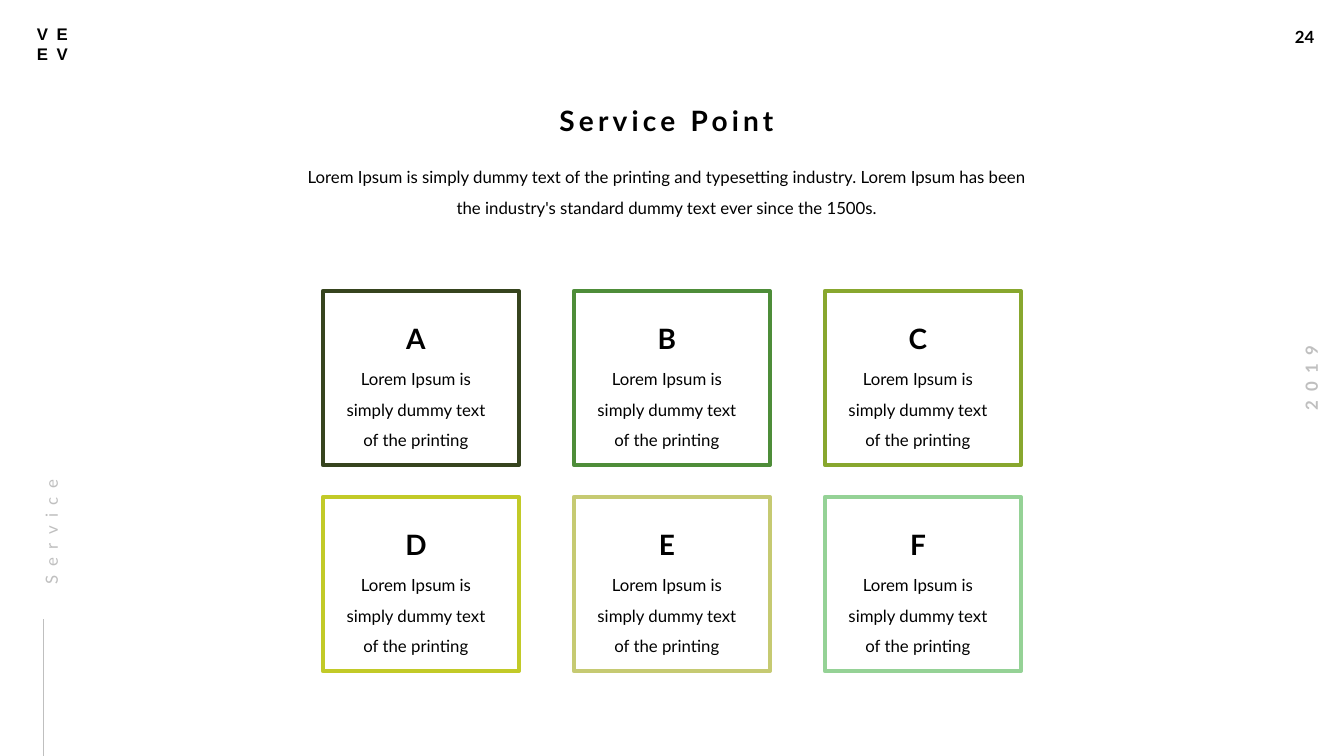
from pptx import Presentation
from pptx.dml.color import RGBColor
from pptx.enum.shapes import MSO_CONNECTOR, MSO_SHAPE
from pptx.enum.text import MSO_AUTO_SIZE, PP_ALIGN
from pptx.util import Emu, Pt
from lxml.etree import SubElement
from pptx.oxml.ns import qn

TITLE = "Service Point"
INTRO = ("Lorem Ipsum is simply dummy text of the printing and typesetting industry. "
         "Lorem Ipsum has been the industry's standard dummy text ever since the 1500s.")
CARD_TEXT = "Lorem Ipsum is simply dummy text of the printing"
CARDS = [("A", "36441E"), ("B", "4E8D39"), ("C", "88A72E"),
         ("D", "C2CA28"), ("E", "C6CA72"), ("F", "95D296")]
BLACK, GREY = "000000", "BFBFBF"

COLUMNS = 3
CARD_LEFT, CARD_TOP = 323, 291
CARD_WIDTH, CARD_HEIGHT = 196, 174
PITCH_X, PITCH_Y = 251, 206
DEFAULT_INSETS = (10, 5, 10, 5)
TIGHT_INSETS = (0, 0, 10, 0)


def px(length):
    return Emu(round(length * 914400 / 100.8))


def color(value):
    return RGBColor.from_string(value)


def add_text(page, place, text, size=12, ink=BLACK, bold=False, font="Lato", spread=0,
             align=PP_ALIGN.CENTER, leading=None, before=None, insets=TIGHT_INSETS,
             wrap=True, rotation=0):
    box = page.shapes.add_textbox(*map(px, place))
    box.rotation = rotation
    frame = box.text_frame
    frame.word_wrap = wrap
    frame.auto_size = MSO_AUTO_SIZE.SHAPE_TO_FIT_TEXT
    (frame.margin_left, frame.margin_top,
     frame.margin_right, frame.margin_bottom) = map(px, insets)
    frame.text = text
    for para in frame.paragraphs:
        para.alignment = align
        if leading:
            para.line_spacing = leading
        if before:
            para.space_before = Pt(before)
        for span in para.runs:
            span.font.name = font
            span.font.size = Pt(size)
            span.font.bold = bold
            span.font.color.rgb = color(ink)
            if spread:
                span.font._element.set("spc", str(spread * 100))


def add_card(page, left, top, letter, outline):
    card = page.shapes.add_shape(
        MSO_SHAPE.RECTANGLE, *map(px, (left, top, CARD_WIDTH, CARD_HEIGHT)))
    card.shadow.inherit = False
    card.fill.background()
    card.line.color.rgb = color(outline)
    card.line.width = Pt(3)
    add_text(page, (left + 18, top + 68, 160, 88), CARD_TEXT, leading=1.5)
    add_text(page, (left + 27, top + 14, 142, 44), letter, size=20, bold=True,
             spread=3, leading=1.5)


def main():
    deck = Presentation()
    deck.slide_width, deck.slide_height = px(1344), px(756)
    page = deck.slides.add_slide(deck.slide_layouts[6])

    add_text(page, (1285, 22, 41, 30), "24", bold=True, align=PP_ALIGN.LEFT,
             insets=DEFAULT_INSETS, wrap=False)
    add_text(page, (1264, 363, 94, 30), "2019", ink=GREY, bold=True, spread=6,
             insets=DEFAULT_INSETS, wrap=False, rotation=270)
    add_text(page, (27, 19, 60, 50), "VE\nEV", bold=True, font="Arial", spread=6,
             align=PP_ALIGN.LEFT, insets=DEFAULT_INSETS)
    add_text(page, (302, 157, 740, 58), INTRO, leading=1.5, before=12)
    add_text(page, (495, 103, 353, 34), TITLE, size=20, bold=True, spread=3, before=12)

    rule = page.shapes.add_connector(
        MSO_CONNECTOR.STRAIGHT, *map(px, (43, 756, 43, 619)))
    rule.line.color.rgb = color(GREY)
    rule.line.width = Pt(0.5)
    SubElement(rule._element.spPr, qn("a:effectLst"))
    add_text(page, (-49, 478, 186, 26), "Service", ink=GREY, spread=6,
             align=PP_ALIGN.LEFT, leading=1.5, before=12, rotation=270)

    for index, (letter, outline) in enumerate(CARDS):
        row, column = divmod(index, COLUMNS)
        add_card(page, CARD_LEFT + column * PITCH_X, CARD_TOP + row * PITCH_Y,
                 letter, outline)

    deck.save("out.pptx")


if __name__ == "__main__":
    main()
